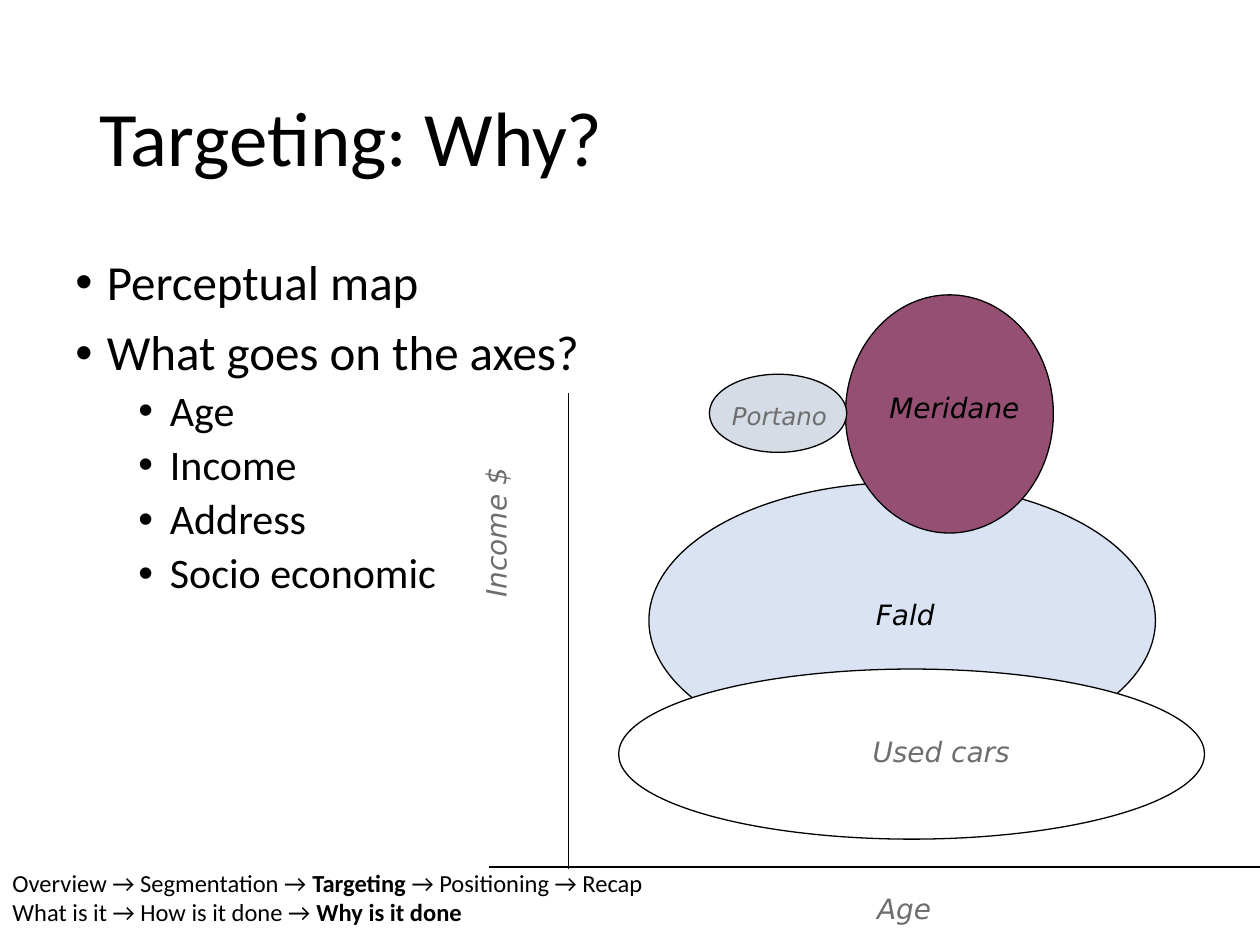
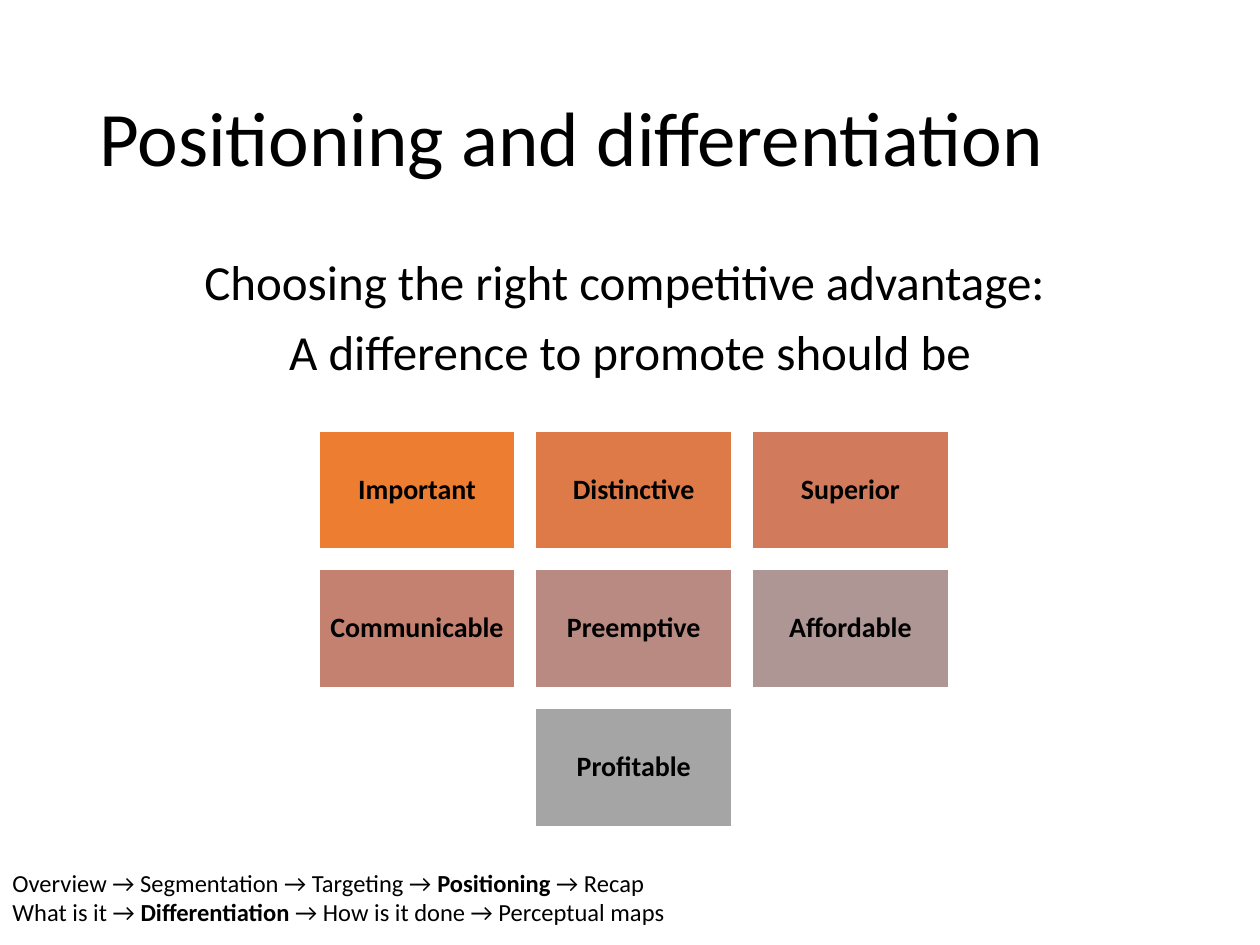
from lxml import etree
from pptx import Presentation
from pptx.dml.color import RGBColor
from pptx.enum.shapes import MSO_CONNECTOR, MSO_SHAPE
from pptx.enum.text import MSO_ANCHOR, PP_ALIGN
from pptx.oxml.ns import qn
from pptx.util import Inches, Pt

LEFT, MID = PP_ALIGN.LEFT, PP_ALIGN.CENTER
TOP, CENTER = MSO_ANCHOR.TOP, MSO_ANCHOR.MIDDLE
OVAL, RECT = MSO_SHAPE.OVAL, MSO_SHAPE.RECTANGLE
STRAIGHT = MSO_CONNECTOR.STRAIGHT

HUES = {
    "black": "000000", "white": "FFFFFF", "gray": "6E6E6F",
    "plum": "954F72", "sky": "DAE3F3", "steel": "D6DCE5",
}
SANS, MAP_FONT = "Calibri", "DejaVu Sans"


def write(frame, text, size=14, font=SANS, hue="black", bold=False,
          slant=False, align=LEFT, anchor=TOP, pitch=None, before=None):
    """Fill a text frame; each line is a paragraph, *stars* mark bold."""
    frame.word_wrap = True
    frame.vertical_anchor = anchor
    for i, line in enumerate(text.split("\n")):
        para = frame.add_paragraph() if i else frame.paragraphs[0]
        para.alignment = align
        para.line_spacing = pitch
        if before is not None:
            para.space_before = Pt(before)
        for j, part in enumerate(line.split("*")):
            if part:
                run = para.add_run()
                run.text = part
                run.font.name = font
                run.font.size = Pt(size)
                run.font.bold = bold or j % 2 == 1
                run.font.italic = slant
                run.font.color.rgb = RGBColor.from_string(HUES[hue])
    return frame


def shape(slide, kind, box, fill, line, width):
    item = slide.shapes.add_shape(kind, *map(Inches, box))
    item.shadow.inherit = False
    item.fill.solid()
    item.fill.fore_color.rgb = RGBColor.from_string(fill)
    item.line.color.rgb = RGBColor.from_string(line)
    item.line.width = Pt(width)
    return item


deck = Presentation()
deck.slide_width, deck.slide_height = Inches(10), Inches(7.5)

# Title, body and progress trail on each slide
PAGES = [
    ("Targeting: Why?", 0.5, LEFT,
     "Perceptual map\nWhat goes on the axes?\nAge\nIncome\nAddress\nSocio economic",
     "Overview → Segmentation → *Targeting *→ Positioning → Recap\n"
     "What is it → How is it done → *Why is it done*"),
    ("Positioning and differentiation", 0.69, MID,
     "Choosing the right competitive advantage: \nA difference to promote should be",
     "Overview → Segmentation → Targeting → *Positioning* → Recap\n"
     "What is it → *Differentiation* → How is it done → Perceptual maps"),
]
slides, bodies = [], []
for title, left, align, body, trail in PAGES:
    slide = deck.slides.add_slide(deck.slide_layouts[6])
    head, main, foot = [
        slide.shapes.add_textbox(*map(Inches, box)).text_frame
        for box in [(0.69, 0.4, 8.62, 1.45), (left, 2, 8.62, 4.76), (0, 6.84, 9.68, 0.57)]
    ]
    write(head, title, size=44, anchor=CENTER, pitch=0.9)
    write(main, body, size=28, align=align, pitch=0.9, before=10)
    write(foot, trail)
    slides.append(slide)
    bodies.append(main)
why, grid = slides

# Bullets: two main points, then the choices for the axes
for i, para in enumerate(bodies[0].paragraphs):
    sub = i >= 2
    props = para._p.get_or_add_pPr()
    props.set("marL", str(Inches(0.75 if sub else 0.25)))
    props.set("indent", str(Inches(-0.25)))
    etree.SubElement(props, qn("a:buFont")).set("typeface", "Arial")
    etree.SubElement(props, qn("a:buChar")).set("char", "•")
    if sub:
        para.level = 1
        para.space_before = Pt(5)
        para.runs[0].font.size = Pt(24)

# Perceptual map: market segments
for box, fill in [
    ((5.15, 3.83, 4.02, 2.19), "sky"),
    ((6.71, 2.34, 1.65, 1.89), "plum"),
    ((5.63, 2.97, 1.09, 0.62), "steel"),
    ((4.91, 5.31, 4.65, 1.35), "white"),
]:
    shape(why, OVAL, box, HUES[fill], HUES["black"], 0.75)

# Perceptual map: axes
for ends in [(4.51, 3.12, 4.51, 6.9), (3.88, 6.88, 10, 6.88)]:
    axis = why.shapes.add_connector(STRAIGHT, *map(Inches, ends))
    axis.line.color.rgb = RGBColor.from_string(HUES["black"])
    axis.line.width = Pt(0.75)
    etree.SubElement(axis._element.spPr, qn("a:effectLst"))

# Perceptual map: labels
for text, box, size, hue, align, turn in [
    ("Meridane", (6.72, 3.05, 1.71, 0.37), 16, "black", MID, 0),
    ("Fald", (6.08, 4.69, 2.21, 0.37), 16, "black", MID, 0),
    ("Used cars", (6.65, 5.78, 1.64, 0.37), 16, "gray", MID, 0),
    ("Portano", (5.71, 3.13, 1.17, 0.33), 14, "gray", LEFT, 0),
    ("Income $", (3.27, 3.99, 1.33, 0.37), 16, "gray", LEFT, 270),
    ("Age", (6.47, 7.03, 1.41, 0.37), 16, "gray", MID, 0),
]:
    label = why.shapes.add_textbox(*map(Inches, box))
    label.rotation = turn
    write(label.text_frame, text, size=size, font=MAP_FONT, hue=hue,
          slant=True, align=align)

# Grid of advantages, three to a row with the last one centred
TRAITS = {
    "Important": "ED7D31", "Distinctive": "DE7A47", "Superior": "D17B5C",
    "Communicable": "C48170", "Preemptive": "B98A82", "Affordable": "AE9694",
    "Profitable": "A5A5A5",
}
for i, (trait, fill) in enumerate(TRAITS.items()):
    row, col = divmod(i, 3)
    if i == len(TRAITS) - 1:
        col = 1
    box = (2.53 + 1.72 * col, 3.42 + 1.1 * row, 1.56, 0.94)
    tile = shape(grid, RECT, box, fill, HUES["white"], 1)
    frame = write(tile.text_frame, trait, size=16, bold=True, align=MID,
                  anchor=CENTER, pitch=0.9)
    frame.margin_left = frame.margin_right = Inches(0.07)
    frame.margin_top = frame.margin_bottom = Inches(0.07)

deck.save("out.pptx")
